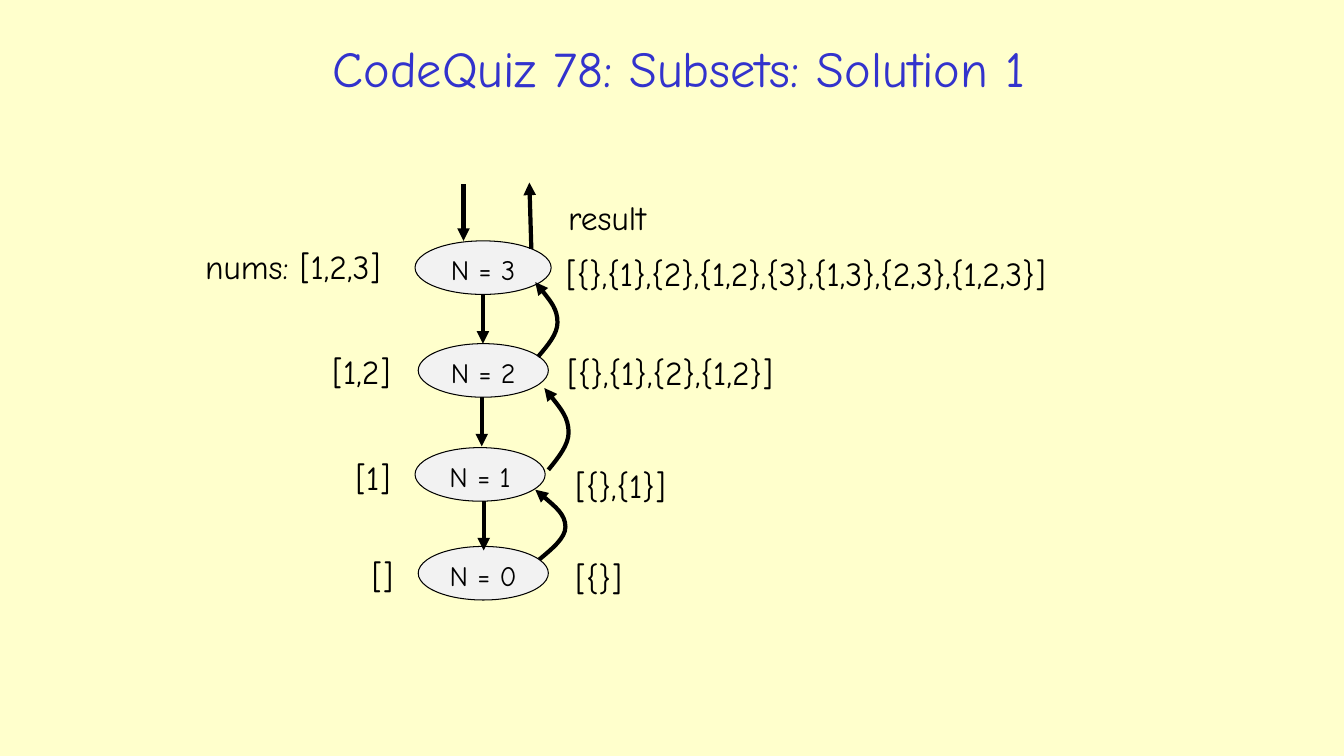
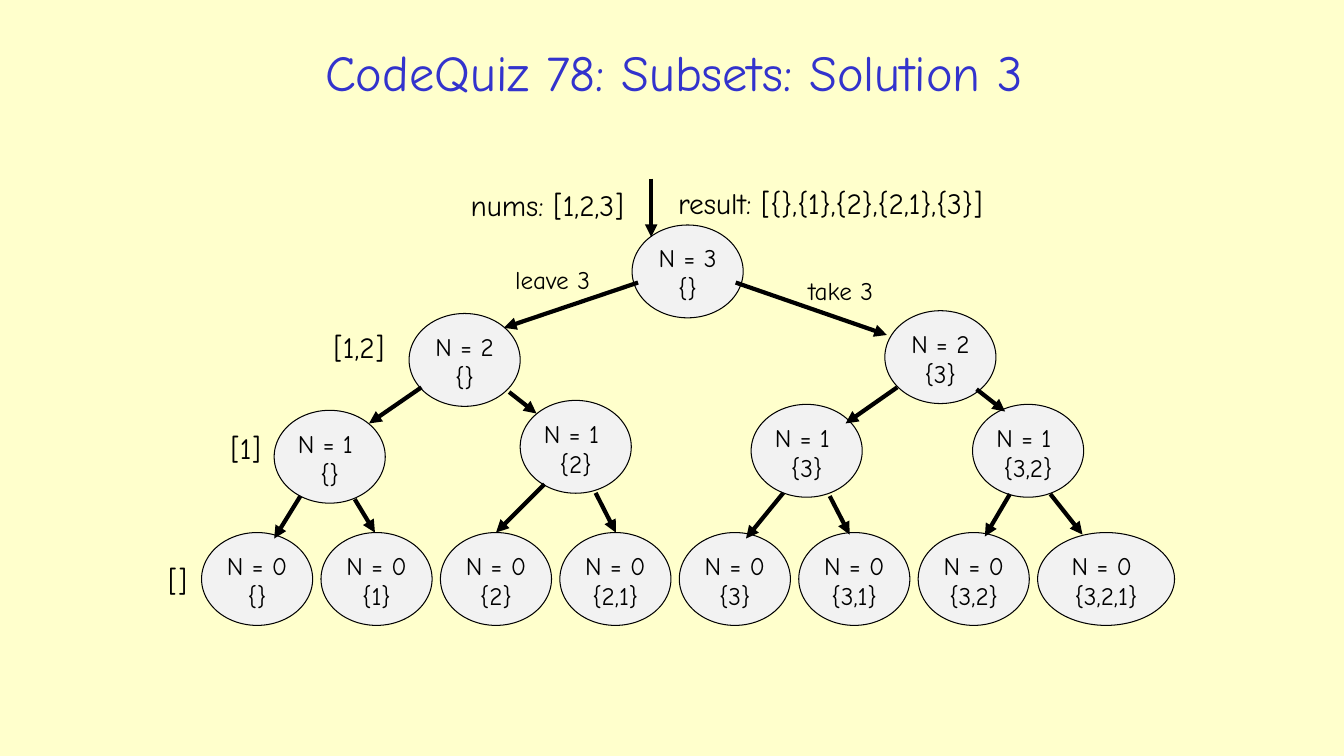
from lxml import etree
from pptx import Presentation
from pptx.dml.color import RGBColor
from pptx.enum.shapes import MSO_CONNECTOR, MSO_SHAPE
from pptx.enum.text import MSO_ANCHOR, MSO_AUTO_SIZE, PP_ALIGN
from pptx.oxml.ns import qn
from pptx.util import Cm, Pt

OVAL = MSO_SHAPE.OVAL
LINE = MSO_CONNECTOR.STRAIGHT
TOP, MIDDLE = MSO_ANCHOR.TOP, MSO_ANCHOR.MIDDLE
FIT, FIXED = MSO_AUTO_SIZE.SHAPE_TO_FIT_TEXT, MSO_AUTO_SIZE.NONE
CENTER = PP_ALIGN.CENTER

FONT = "Comic Neue"
COLORS = {"page": "FFFFCC", "title": "3333CC", "node": "F2F2F2", "ink": "000000"}
HEIGHTS = {24: 1.28, 21: 1.14, 18: 1.02}  # label height by text size


def color(name):
    return RGBColor.from_string(COLORS[name])


# Shared parts
def style(para, size, name="ink"):
    para.font.name = FONT
    para.font.size = Pt(size)
    para.font.color.rgb = color(name)


def add_page(deck, text, box):
    slide = deck.slides.add_slide(deck.slide_layouts[5])
    title = slide.shapes.title
    title.left, title.top, title.width, title.height = map(Cm, box)
    frame = title.text_frame
    frame.text = text
    frame.auto_size = FIXED
    frame.vertical_anchor = MIDDLE
    para = frame.paragraphs[0]
    para.alignment = CENTER
    style(para, 36, "title")
    return slide


def add_label(slide, text, x, y, width, size):
    box = slide.shapes.add_textbox(Cm(x), Cm(y), Cm(width), Cm(HEIGHTS[size]))
    frame = box.text_frame
    frame.word_wrap = False
    frame.auto_size = FIT
    frame.text = text
    style(frame.paragraphs[0], size)


def add_node(slide, lines, x, y, width, height, size):
    node = slide.shapes.add_shape(OVAL, Cm(x), Cm(y), Cm(width), Cm(height))
    node.shadow.inherit = False
    node.fill.solid()
    node.fill.fore_color.rgb = color("node")
    node.line.color.rgb = color("ink")
    node.line.width = Pt(0.75)
    frame = node.text_frame
    frame.word_wrap = True
    frame.vertical_anchor = TOP
    frame.margin_left = frame.margin_right = Cm(0.18)
    frame.margin_top = frame.margin_bottom = Cm(0.1)
    frame.text = "\n".join(lines)
    for para in frame.paragraphs:
        para.alignment = CENTER
        style(para, size)


def set_arrow(line):
    line.color.rgb = color("ink")
    line.width = Pt(3)
    etree.SubElement(line._get_or_add_ln(), qn("a:tailEnd"), type="triangle")


def add_arrow(slide, x1, y1, x2, y2):
    arrow = slide.shapes.add_connector(LINE, Cm(x1), Cm(y1), Cm(x2), Cm(y2))
    set_arrow(arrow.line)
    etree.SubElement(arrow._element.spPr, qn("a:effectLst"))


def add_curve(slide, start, bulge, end):
    """Two Bezier pieces that meet at the bulge, where the tangent is upright."""
    (sx, sy), (bx, by), (ex, ey) = start, bulge, end
    points = [
        ((sx + bx) / 2, sy + (by - sy) / 3), (bx, sy + (by - sy) * 2 / 3), bulge,
        (bx, by + (ey - by) / 3), ((bx + ex) / 2, by + (ey - by) * 2 / 3), end,
    ]
    pen = slide.shapes.build_freeform(Cm(sx), Cm(sy))
    pen.add_line_segments([(Cm(x), Cm(y)) for x, y in points], close=False)
    curve = pen.convert_to_shape()
    curve.shadow.inherit = False
    curve.fill.background()
    set_arrow(curve.line)
    # Turn each three straight steps into one Bezier piece
    trail = next(curve._element.iter(qn("a:path")))
    steps = trail.findall(qn("a:lnTo"))
    for first in (0, 3):
        piece = etree.SubElement(trail, qn("a:cubicBezTo"))
        for step in steps[first:first + 3]:
            piece.append(step[0])
            trail.remove(step)


# Call stack: one row per call, places relative to the region
CALLS = [  # node (x, y, width), input (text, x, y, width), output (same)
    ((5.54, 1.47, 3.43), ("nums: [1,2,3]", 0, 1.47, 5.54),
     ("[{},{1},{2},{1,2},{3},{1,3},{2,3},{1,2,3}]", 9.1, 1.65, 14.68)),
    ((5.62, 4.06, 3.28), ("[1,2]", 3.21, 4.11, 2.29),
     ("[{},{1},{2},{1,2}]", 9.13, 4.14, 6.4)),
    ((5.54, 6.68, 3.28), ("[1]", 3.79, 6.8, 1.55), ("[{},{1}]", 9.33, 6.98, 3.02)),
    ((5.62, 9.17, 3.28), ("[]", 4.2, 9.27, 1.14), ("[{}]", 9.33, 9.32, 1.78)),
]
DOWNS = [(7.25, 2.82), (7.22, 5.41), (7.27, 8.03)]
BACKS = [  # start, bulge, end
    ((8.64, 4.39), (9.13, 3.53), (8.57, 2.51)),
    ((8.9, 7.24), (9.41, 6.3), (8.8, 5.18)),
    ((8.67, 9.5), (9.33, 8.68), (8.57, 7.74)),
]


def draw_stack(slide, left, top):
    for depth, ((x, y, width), *notes) in enumerate(CALLS):
        add_node(slide, [f"N = {3 - depth}"], left + x, top + y, width, 1.35, 20)
        for text, nx, ny, span in notes:
            add_label(slide, text, left + nx, top + ny, span, 24)
    add_label(slide, "result", left + 9.15, top + 0.23, 2.9, 24)
    # Calls go down, results come back up
    for x, y in DOWNS:
        add_arrow(slide, left + x, top + y, left + x, top + y + 1.24)
    for curve in BACKS:
        add_curve(slide, *((left + x, top + y) for x, y in curve))
    add_arrow(slide, left + 6.76, top + 0.05, left + 6.76, top + 1.47)
    add_arrow(slide, left + 8.47, top + 1.67, left + 8.42, top)


# Decision tree: places relative to the region
INNER = [  # N, set, x, y
    (3, "{}", 11.94, 1.17),
    (2, "{}", 6.32, 3.4), (2, "{3}", 18.31, 3.33),
    (1, "{}", 2.92, 5.84), (1, "{2}", 9.12, 5.59),
    (1, "{3}", 14.94, 5.69), (1, "{3,2}", 20.52, 5.69),
]
LEAVES = ["{}", "{1}", "{2}", "{2,1}", "{3}", "{3,1}", "{3,2}", "{3,2,1}"]
EDGES = [  # from x, y to x, y
    (12.42, 0, 12.42, 1.47),
    (12.09, 2.62, 8.71, 3.76), (14.55, 2.62, 18.36, 3.94),
    (6.63, 5.26, 5.31, 6.17), (8.84, 5.38, 9.53, 5.92),
    (18.62, 5.26, 17.32, 6.17), (20.62, 5.31, 21.34, 5.87),
    (3.58, 8, 2.92, 9.07), (4.95, 8.08, 5.46, 8.92),
    (9.73, 7.7, 8.51, 8.92), (11.02, 7.92, 11.53, 8.92),
    (15.75, 7.92, 14.81, 9.07), (16.92, 8, 17.42, 8.97),
    (21.46, 7.95, 20.83, 9.02), (22.48, 7.95, 23.29, 8.97),
]
NOTES = [  # text, x, y, width, size
    ("nums: [1,2,3]", 7.62, 0.08, 4.93, 21),
    ("result: [{},{1},{2},{2,1},{3}]", 12.85, 0.05, 9.45, 21),
    ("[1,2]", 4.17, 3.68, 2.08, 21),
    ("[1]", 1.57, 6.22, 1.42, 21),
    ("[]", 0, 9.55, 1.07, 21),
    ("leave 3", 8.74, 2.03, 2.62, 18),
    ("take 3", 16.13, 2.31, 2.44, 18),
]


def draw_tree(slide, left, top):
    leaves = [(0, text, 1.09 + 3.01 * i, 8.92) for i, text in enumerate(LEAVES)]
    for count, text, x, y in leaves + INNER:
        width = 3.45 if text == "{3,2,1}" else 2.8
        add_node(slide, [f"N = {count} ", text], left + x, top + y, width, 2.34, 18)
    for x1, y1, x2, y2 in EDGES:
        add_arrow(slide, left + x1, top + y1, left + x2, top + y2)
    for text, x, y, width, size in NOTES:
        add_label(slide, text, left + x, top + y, width, size)


def main():
    deck = Presentation()
    deck.slide_width, deck.slide_height = Cm(33.87), Cm(19.05)
    page = deck.slide_master.background.fill
    page.solid()
    page.fore_color.rgb = color("page")

    first = add_page(deck, "CodeQuiz 78: Subsets: Solution 1", (4.93, 0.91, 24.36, 1.57))
    draw_stack(first, 4.92, 4.6)
    second = add_page(deck, "CodeQuiz 78: Subsets: Solution 3", (5.33, 1.02, 23.32, 1.57))
    draw_tree(second, 3.99, 4.5)
    deck.save("out.pptx")


if __name__ == "__main__":
    main()
